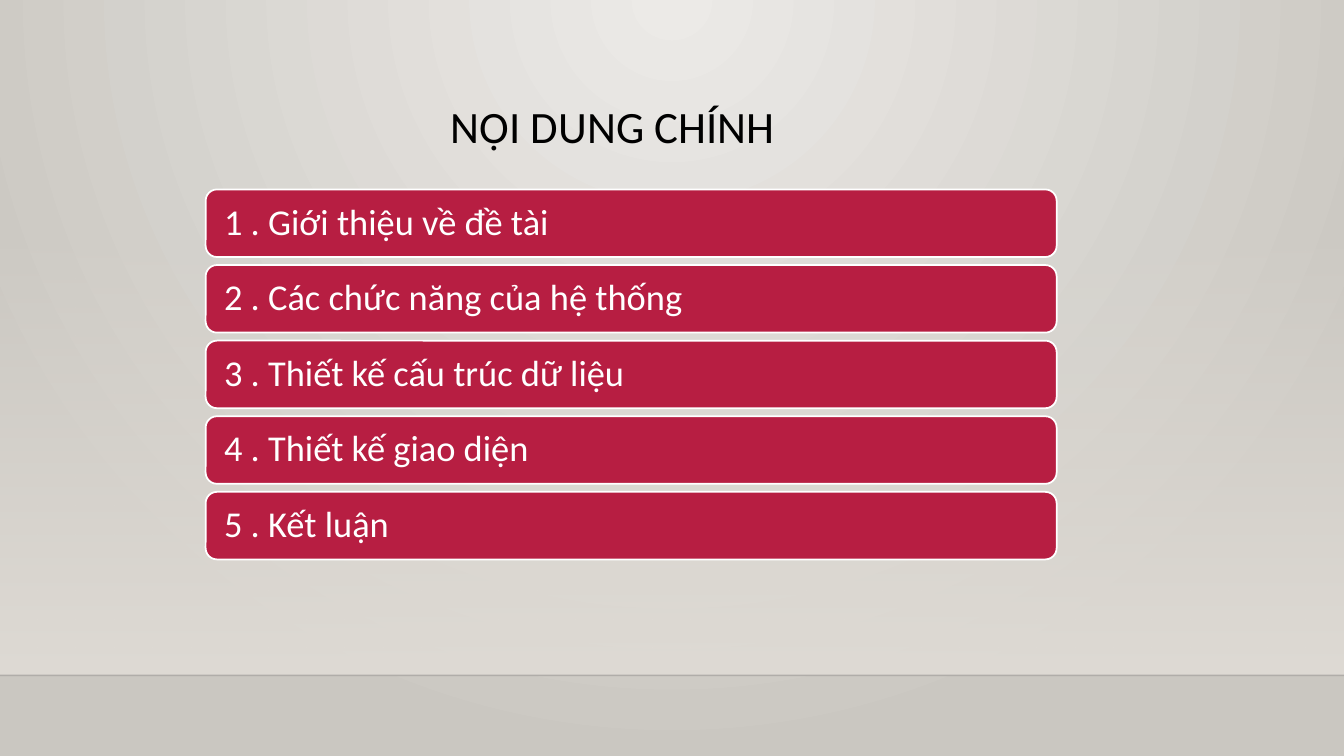
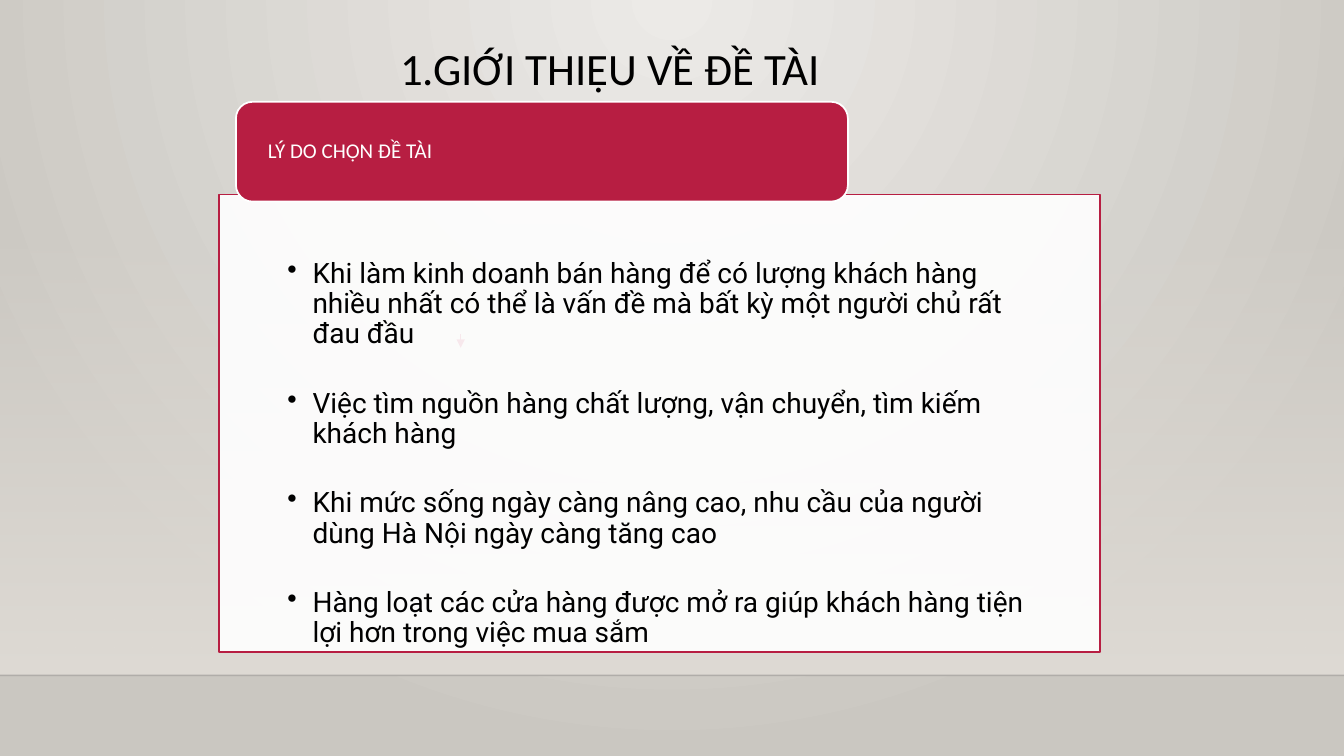
from lxml.etree import SubElement
from pptx import Presentation
from pptx.dml.color import RGBColor
from pptx.enum.shapes import MSO_CONNECTOR, MSO_SHAPE
from pptx.enum.text import MSO_ANCHOR, PP_ALIGN
from pptx.oxml.ns import qn
from pptx.util import Inches, Pt

CRIMSON = "B71E42"
WHITE = "FFFFFF"
BLACK = "000000"
SAND = "DFDBD5"


def color(hex_value):
    return RGBColor.from_string(hex_value)


def add_text(paragraph, text, size, font, hex_value):
    run = paragraph.add_run()
    run.text = text
    run.font.size = Pt(size)
    run.font.name = font
    run.font.color.rgb = color(hex_value)


presentation = Presentation()
presentation.slide_width = Inches(13.33)
presentation.slide_height = Inches(7.5)
blank = presentation.slide_layouts[6]
agenda = presentation.slides.add_slide(blank)
reasons = presentation.slides.add_slide(blank)

master = presentation.slide_master
backdrop = master.background.fill
backdrop.gradient()
for stop, hex_value in zip(backdrop.gradient_stops, ("ECEAE7", "CAC7C1")):
    stop.color.rgb = color(hex_value)
gradient = master.element.xpath(".//p:bg//a:gradFill")[0]
gradient.remove(gradient.find(qn("a:lin")))
glow = SubElement(gradient, qn("a:path"), path="circle")
SubElement(glow, qn("a:fillToRect"), l="43000", t="0", r="43000", b="100000")

wall = agenda.shapes.add_shape(
    MSO_SHAPE.RECTANGLE, 0, Inches(2.21), presentation.slide_width, Inches(4.49)
)
wall.shadow.inherit = False
wall.line.fill.background()
wall.fill.gradient()
wall.fill.gradient_angle = 270
for stop in wall.fill.gradient_stops:
    stop.color.rgb = color(SAND)

floor_line = agenda.shapes.add_connector(
    MSO_CONNECTOR.STRAIGHT, 0, Inches(6.7), presentation.slide_width, Inches(6.7)
)
floor_line.line.color.rgb = color("000001")
floor_line.line.width = Pt(1)

for index, shared in enumerate((wall, floor_line)):
    shared.element.xpath(".//p:cNvPr")[0].set("id", str(20 + index))
    master.shapes.element.insert(2 + index, shared.element)

titles = [
    (agenda, 4.06, 0.93, 4.04, PP_ALIGN.CENTER, "NỘI DUNG CHÍNH"),
    (reasons, 3.87, 0.36, 5.33, PP_ALIGN.LEFT, "1.GIỚI THIỆU VỀ ĐỀ TÀI"),
]
for slide, left, top, width, alignment, text in titles:
    title = slide.shapes.add_textbox(
        Inches(left), Inches(top), Inches(width), Inches(0.64)
    )
    title.text_frame.word_wrap = True
    paragraph = title.text_frame.paragraphs[0]
    paragraph.alignment = alignment
    add_text(paragraph, text, 32, "Calibri", BLACK)

arrow = reasons.shapes.add_connector(
    MSO_CONNECTOR.STRAIGHT, Inches(4.57), Inches(3.31), Inches(4.57), Inches(3.45)
)
arrow.line.color.rgb = color(CRIMSON)
arrow.line.width = Pt(0.75)
SubElement(arrow.element.xpath(".//a:ln")[0], qn("a:tailEnd"), type="triangle")

for connector in (floor_line, arrow):
    SubElement(connector.element.spPr, qn("a:effectLst"))

panel = reasons.shapes.add_shape(
    MSO_SHAPE.RECTANGLE, Inches(2.17), Inches(1.93), Inches(8.74), Inches(4.54)
)
panel.shadow.inherit = False
panel.fill.solid()
panel.fill.fore_color.rgb = color(WHITE)
panel.line.color.rgb = color(CRIMSON)
panel.line.width = Pt(1.25)
frame = panel.text_frame
frame.word_wrap = True
frame.vertical_anchor = MSO_ANCHOR.TOP
frame.margin_left = frame.margin_right = Inches(0.68)
frame.margin_top = Inches(0.64)
frame.margin_bottom = Inches(0.16)

bullets = [
    "Khi làm kinh doanh bán hàng để có lượng khách hàng nhiều nhất có thể là vấn đề mà bất kỳ một người chủ rất đau đầu",
    "Việc tìm nguồn hàng chất lượng, vận chuyển, tìm kiếm khách hàng",
    "Khi mức sống ngày càng nâng cao, nhu cầu của người dùng Hà Nội ngày càng tăng cao",
    "Hàng loạt các cửa hàng được mở ra giúp khách hàng tiện lợi hơn trong việc mua sắm",
]
for index, text in enumerate(bullets):
    paragraph = frame.add_paragraph() if index else frame.paragraphs[0]
    paragraph.alignment = PP_ALIGN.LEFT
    paragraph.line_spacing = 0.9
    paragraph.space_after = Pt(28)
    properties = paragraph._p.get_or_add_pPr()
    properties.set("marL", str(Inches(0.25)))
    properties.set("indent", str(-Inches(0.25)))
    SubElement(properties, qn("a:buChar"), char="•")
    add_text(paragraph, text, 20, "Roboto", BLACK)

topics = [
    "Giới thiệu về đề tài",
    "Các chức năng của hệ thống",
    "Thiết kế cấu trúc dữ liệu",
    "Thiết kế giao diện",
    "Kết luận",
]
banners = [
    (agenda, 2.04, 1.88 + 0.75 * index, 8.44, 0.67, 0.15, 26, f"{index + 1} . {topic}")
    for index, topic in enumerate(topics)
]
banners.append((reasons, 2.34, 1.01, 6.07, 0.99, 0.27, 15, "LÝ DO CHỌN ĐỀ TÀI"))
for slide, left, top, width, height, margin, size, text in banners:
    banner = slide.shapes.add_shape(
        MSO_SHAPE.ROUNDED_RECTANGLE,
        Inches(left), Inches(top), Inches(width), Inches(height),
    )
    banner.shadow.inherit = False
    banner.fill.solid()
    banner.fill.fore_color.rgb = color(CRIMSON)
    banner.line.color.rgb = color(WHITE)
    banner.line.width = Pt(1.25)
    frame = banner.text_frame
    frame.word_wrap = True
    frame.vertical_anchor = MSO_ANCHOR.MIDDLE
    frame.margin_left = frame.margin_right = Inches(margin)
    paragraph = frame.paragraphs[0]
    paragraph.alignment = PP_ALIGN.LEFT
    paragraph.line_spacing = 0.9
    add_text(paragraph, text, size, "Calibri", WHITE)

for shape, opacity in ((wall, 0), (floor_line, 20), (panel, 90)):
    first_color = shape.element.xpath(".//a:srgbClr")[0]
    SubElement(first_color, qn("a:alpha"), val=str(opacity * 1000))

presentation.save("out.pptx")
